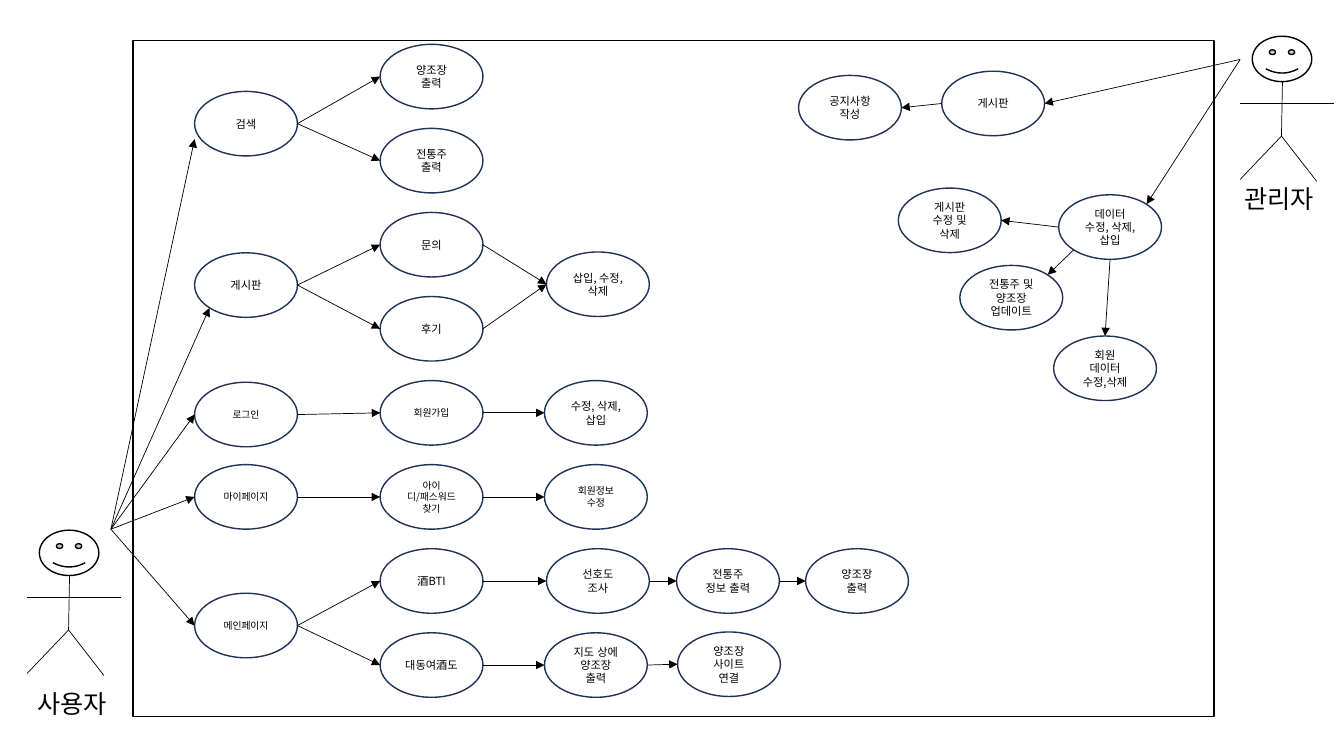
"""Use case diagram of a liquor site, laid out on a grid of tenth-inch units."""
from lxml.etree import SubElement
from pptx import Presentation
from pptx.dml.color import RGBColor
from pptx.enum.lang import MSO_LANGUAGE_ID as LANG
from pptx.enum.shapes import MSO_CONNECTOR as CONN, MSO_SHAPE as SHAPE
from pptx.enum.text import MSO_ANCHOR as ANCHOR, PP_ALIGN as ALIGN
from pptx.oxml.ns import qn
from pptx.util import Inches, Pt

BLACK = RGBColor(0x00, 0x00, 0x00)
WHITE = RGBColor(0xFF, 0xFF, 0xFF)
NAVY = RGBColor(0x1E, 0x32, 0x56)
FONT = "Noto Sans CJK KR"
OVAL_W, OVAL_H = 10.2, 6.4
ROW_TOP, ROW_STEP = 4.4, 8.34
COL1, COL2, COL3, COL4, COL5 = 19.3, 37.7, 54, 67.1, 79.9
DIAG = 0.71
SITES = {"N": (0, -1), "S": (0, 1), "W": (-1, 0), "E": (1, 0),
         "SW": (-DIAG, DIAG), "NE": (DIAG, -DIAG)}


def unit(n):
    """Turn grid units into a length."""
    return Inches(n / 10)


class Canvas:
    """Holds the style and the current slide."""

    def __init__(self, slide):
        self.shapes = slide.shapes
        self.ovals = {}

    def add_text(self, tf, text, size):
        """Fill a text frame with centred lines."""
        tf.word_wrap = True
        for i, line in enumerate(text.split("\n")):
            p = tf.add_paragraph() if i else tf.paragraphs[0]
            p.alignment = ALIGN.CENTER
            r = p.add_run()
            r.text = line
            font = r.font
            font.size, font.name, font.language_id = Pt(size), FONT, LANG.KOREAN
            font.color.rgb = BLACK
            SubElement(r._r.get_or_add_rPr(), qn("a:ea"), typeface=FONT)

    def shape(self, kind, x, y, w, h, color=BLACK):
        """Add a white outlined preset shape."""
        sp = self.shapes.add_shape(kind, *map(unit, (x, y, w, h)))
        sp.shadow.inherit = False
        sp.fill.solid()
        sp.fill.fore_color.rgb = WHITE
        sp.line.color.rgb = color
        sp.line.width = Pt(1)
        return sp

    def oval(self, key, x, row, text, size=8):
        """Add a use case and remember its centre."""
        y = ROW_TOP + ROW_STEP * row
        sp = self.shape(SHAPE.OVAL, x, y, OVAL_W, OVAL_H, NAVY)
        sp.text_frame.vertical_anchor = ANCHOR.MIDDLE
        self.add_text(sp.text_frame, text, size)
        self.ovals[key] = (x + OVAL_W / 2, y + OVAL_H / 2)

    def label(self, x, y, text):
        """Add an actor name."""
        sp = self.shapes.add_textbox(*map(unit, (x, y, 10.7, 4)))
        self.add_text(sp.text_frame, text, 18)

    def line(self, start, end, arrow=False):
        """Add a thin line, with an arrowhead if asked."""
        c = self.shapes.add_connector(CONN.STRAIGHT, *map(unit, (*start, *end)))
        c.line.color.rgb = BLACK
        c.line.width = Pt(0.5)
        props = c._element.spPr
        if arrow:
            SubElement(props.find(qn("a:ln")), qn("a:tailEnd"), type="triangle")
        SubElement(props, qn("a:effectLst"))

    def site(self, key, side):
        """Give a point on the rim of a use case."""
        (cx, cy), (dx, dy) = self.ovals[key], SITES[side]
        return cx + dx * OVAL_W / 2, cy + dy * OVAL_H / 2

    def link(self, a, b, sides="E W"):
        """Join two use cases by an arrow."""
        out, into = sides.split()
        self.line(self.site(a, out), self.site(b, into), True)

    def actor(self, x, y):
        """Add a stick figure whose face starts at x, y."""
        hip = (x + 2.9, y + 9.9)
        self.line((x - 1.2, y + 6.7), (x + 8.1, y + 6.7))
        self.line((x + 3, y + 4.5), hip)
        for foot in ((x - 1.2, y + 14.2), (x + 6.4, y + 14.4)):
            self.line(hip, foot)
        face = self.shape(SHAPE.SMILEY_FACE, x, y, 5.9, 4.5)
        face.adjustments[0] = 0.047


USE_CASES = [
    ("search", COL1, 0.56, "검색"),
    ("board", COL1, 2.48, "게시판"),
    ("login", COL1, 4.02, "로그인", 7),
    ("my page", COL1, 5, "마이페이지", 7),
    ("main page", COL1, 6.53, "메인페이지", 7),
    ("brewery", COL2, 0, "양조장\n출력"),
    ("liquor", COL2, 1, "전통주\n출력"),
    ("inquiry", COL2, 2, "문의"),
    ("review", COL2, 3, "후기"),
    ("sign up", COL2, 4, "회원가입", 7),
    ("find id", COL2, 5, "아이디/패스워드 찾기", 7),
    ("bti", COL2, 6, "酒BTI"),
    ("map", COL2, 7, "대동여酒도"),
    ("post edit", COL3 + 0.2, 2.47, "삽입, 수정, 삭제"),
    ("account edit", COL3, 4, "수정, 삭제, 삽입"),
    ("member info", COL3, 5, "회원정보 수정", 7),
    ("survey", COL3 + 0.2, 6, "선호도 조사"),
    ("map brewery", COL3, 7, "지도 상에 양조장 출력"),
    ("liquor info", COL4, 6, "전통주\n정보 출력"),
    ("brewery site", COL4 + 0.1, 6.99, "양조장 사이트 연결"),
    ("bti brewery", COL5, 6, "양조장\n출력"),
    ("admin board", 93.4, 0.32, "게시판"),
    ("notice", 79.2, 0.37, "공지사항 작성"),
    ("data", 105, 1.79, "데이터 수정, 삭제, 삽입"),
    ("board edit", 89.1, 1.71, "게시판 수정 및 삭제"),
    ("update", 95.2, 2.63, "전통주 및 양조장 업데이트"),
    ("member data", 104.5, 3.47, "회원 데이터 수정,삭제"),
]
CHAINS = [
    ("search", "brewery"), ("search", "liquor"),
    ("board", "inquiry", "post edit"), ("board", "review", "post edit"),
    ("login", "sign up", "account edit"),
    ("my page", "find id", "member info"),
    ("main page", "bti", "survey", "liquor info", "bti brewery"),
    ("main page", "map", "map brewery", "brewery site"),
]
ADMIN_LINKS = [
    ("admin board", "notice", "W E"), ("data", "board edit", "W E"),
    ("data", "update", "SW NE"), ("data", "member data", "S N"),
]
USER, ADMIN = (11, 52.5), (123, 5.9)

prs = Presentation()
prs.slide_width, prs.slide_height = Inches(13.33), Inches(7.5)
s = Canvas(prs.slides.add_slide(prs.slide_layouts[6]))

s.shape(SHAPE.RECTANGLE, 13.2, 4, 107.2, 67.1)
for use_case in USE_CASES:
    s.oval(*use_case)
s.actor(3.9, 52.6)
s.actor(124.2, 3.6)
s.label(1.8, 67.8, "사용자")
s.label(121.5, 17.7, "관리자")

s.line(USER, (COL1, 13.8), True)
for key, side in (("board", "SW"), ("login", "W"), ("my page", "W"), ("main page", "W")):
    s.line(USER, s.site(key, side), True)
for key, side in (("admin board", "E"), ("data", "NE")):
    s.line(ADMIN, s.site(key, side), True)
for chain in CHAINS:
    for a, b in zip(chain, chain[1:]):
        s.link(a, b)
for a, b, sides in ADMIN_LINKS:
    s.link(a, b, sides)

prs.save("out.pptx")
